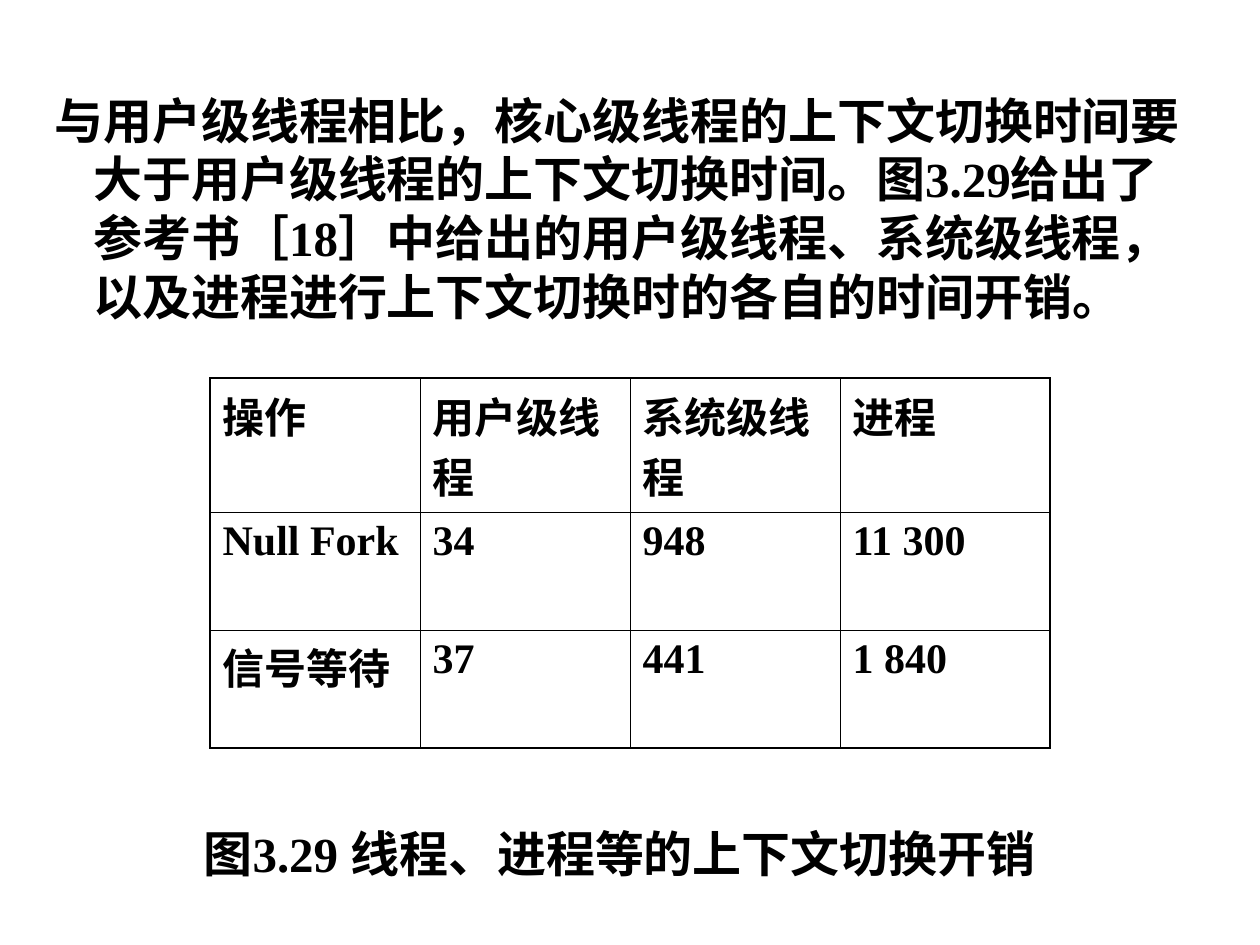
import pptx
import pptx.util
import pptx.dml.color
import pptx.enum.text
import pptx.oxml.ns
import lxml.etree

PX = 914400 // 126
FONT = "Times New Roman"
COLORS = {"text": "000000", "line": "000000"}
THIN, THICK = 0.45, 1.08

BODY = ("与用户级线程相比，核心级线程的上下文切换时间要大于用户级线程的上下文切换时间。"
        "图3.29给出了参考书［18］中给出的用户级线程、系统级线程，"
        "以及进程进行上下文切换时的各自的时间开销。")
CAPTION = "图3.29 线程、进程等的上下文切换开销"
ROWS = [
    ["操作", "用户级线程", "系统级线程", "进程"],
    ["Null Fork", "34", "948", "11 300"],
    ["信号等待", "37", "441", "1 840"],
]
ROW_HEIGHTS = [134, 118, 118]  # the header holds two lines


def px(n):
    return pptx.util.Emu(n * PX)


def style(p, size):
    p.font.name = FONT
    p.font.size = pptx.util.Pt(size)
    p.font.bold = True
    p.font.color.rgb = pptx.dml.color.RGBColor.from_string(COLORS["text"])


def add_text(s, box, text):
    tb = s.shapes.add_textbox(*map(px, box))
    tf = tb.text_frame
    tf.word_wrap = True
    p = tf.paragraphs[0]
    p.text = text
    style(p, 28)
    return p


def add_body(s, box):
    p = add_text(s, box, BODY)
    # Hanging indent, with punctuation kept inside the margin
    pPr = p._p.get_or_add_pPr()
    pPr.set("marL", str(px(39)))
    pPr.set("indent", str(-px(39)))
    pPr.set("hangingPunct", "0")


def add_caption(s, box):
    p = add_text(s, box, CAPTION)
    p.alignment = pptx.enum.text.PP_ALIGN.CENTER


def set_borders(cell, widths):
    """Draw left, right, top and bottom lines; they come before the fill."""
    tcPr = cell._tc.get_or_add_tcPr()
    qn = pptx.oxml.ns.qn
    for i, (side, width) in enumerate(zip("LRTB", widths)):
        ln = lxml.etree.Element(qn(f"a:ln{side}"), w=str(pptx.util.Pt(width)))
        fill = lxml.etree.SubElement(ln, qn("a:solidFill"))
        lxml.etree.SubElement(fill, qn("a:srgbClr"), val=COLORS["line"])
        tcPr.insert(i, ln)


def add_cost_table(s, box):
    n_rows, n_cols = len(ROWS), len(ROWS[0])
    table = s.shapes.add_table(n_rows, n_cols, *map(px, box)).table
    table.first_row = False
    table.horz_banding = False
    for r, row in enumerate(ROWS):
        table.rows[r].height = px(ROW_HEIGHTS[r])
        for c, text in enumerate(row):
            cell = table.cell(r, c)
            cell.text = text
            style(cell.text_frame.paragraphs[0], 24)
            cell.fill.background()
            # Thick frame outside, thin grid inside
            outer = (c == 0, c == n_cols - 1, r == 0, r == n_rows - 1)
            set_borders(cell, [THICK if edge else THIN for edge in outer])


def main():
    prs = pptx.Presentation()
    prs.slide_width, prs.slide_height = px(1260), px(945)
    s = prs.slides.add_slide(prs.slide_layouts[6])
    add_body(s, (42, 84, 1155, 306))
    add_cost_table(s, (210, 378, 840, sum(ROW_HEIGHTS)))
    add_caption(s, (42, 817, 1155, 71))
    prs.save("out.pptx")


if __name__ == "__main__":
    main()
